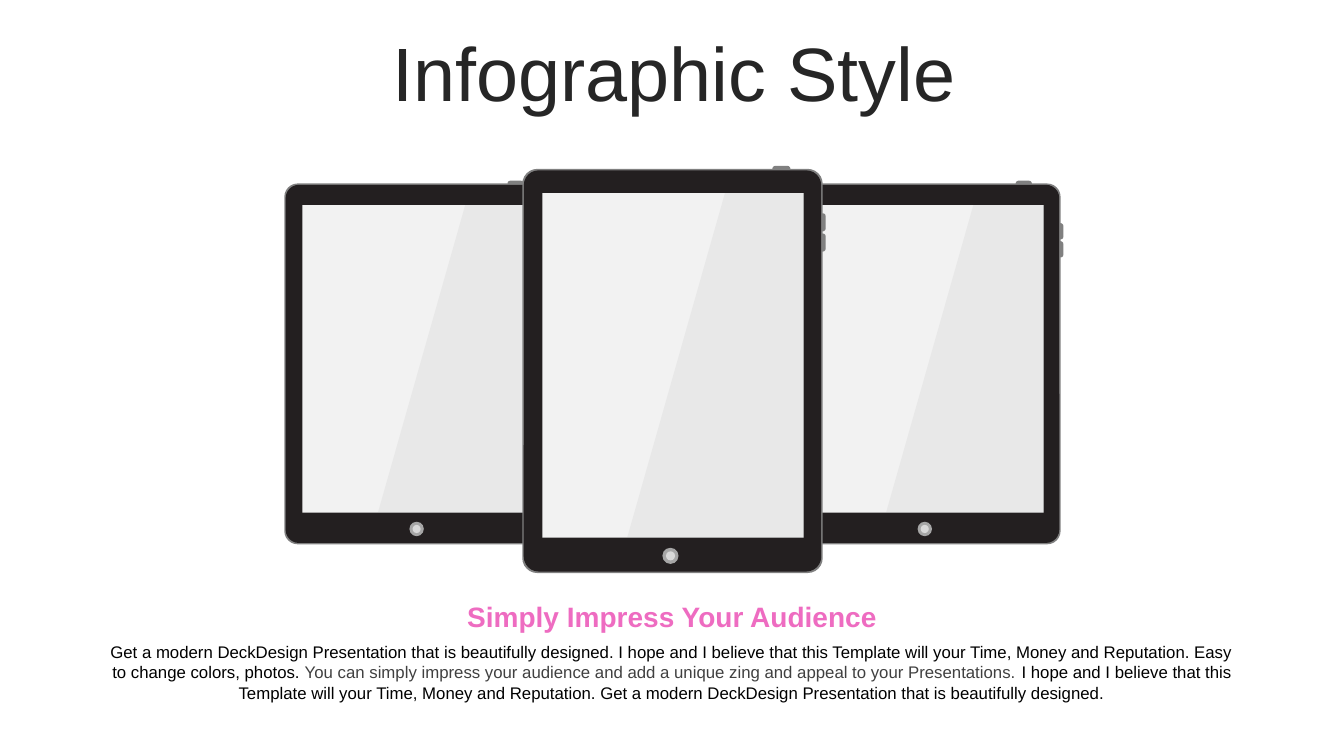
"""Build a slide with three tablet mock-ups above a centred caption."""
from lxml import etree
from pptx import Presentation
from pptx import util as u
from pptx.dml.color import RGBColor
from pptx.enum import shapes, text
from pptx.oxml import ns

CELL = u.Inches(0.01)
SLIDE_COLUMNS, SLIDE_ROWS = 1333, 750
TABLET_COLUMNS, TABLET_ROWS = 298, 400
FONT = "Arial"

EDGE = RGBColor(0x80, 0x80, 0x80)
BODY = RGBColor(0x23, 0x1F, 0x20)
SCREEN = RGBColor(0xF2, 0xF2, 0xF2)
GLARE = RGBColor(0x99, 0x99, 0x99)
HOME_RING = RGBColor(0xA6, 0xA6, 0xA6)
HOME_CENTRE = RGBColor(0xD9, 0xD9, 0xD9)
TITLE_COLOR = RGBColor(0x26, 0x26, 0x26)
PINK = RGBColor(0xEE, 0x6C, 0xC1)
BLACK = RGBColor(0, 0, 0)
GREY = RGBColor(0x40, 0x40, 0x40)

ROUNDED = shapes.MSO_SHAPE.ROUNDED_RECTANGLE
OVAL = shapes.MSO_SHAPE.OVAL
PLAIN = shapes.MSO_SHAPE.RECTANGLE

SIDE_BUTTONS = [
    (ROUNDED, (295, 64, 6, 18), EDGE, 0.5),
    (ROUNDED, (295, 44, 6, 18), EDGE, 0.5),
]
TABLET_PARTS = [
    (ROUNDED, (248, -3, 18, 6), EDGE, 0.5),
    (ROUNDED, (0, 0, 298, 400), EDGE, 0.05),
    (ROUNDED, (1.5, 1.5, 295, 397), BODY, 0.05),
    (PLAIN, (20, 24, 259, 341), SCREEN, None),
    (OVAL, (139, 375, 16, 16), HOME_RING, None),
    (OVAL, (142.5, 378.5, 9, 9), HOME_CENTRE, None),
]
GLARE_CORNERS = [(201, 24), (279, 24), (279, 365), (104, 365)]
TABLETS = [
    (786, 182, 266, 358, SIDE_BUTTONS + TABLET_PARTS),
    (282, 182, 266, 358, TABLET_PARTS),
    (518, 167.5, 298, 401, SIDE_BUTTONS + TABLET_PARTS),
]

HEADING = "Simply Impress Your Audience"
CAPTION = [
    ("Get a modern DeckDesign Presentation that is beautifully designed. "
     "I hope and I believe that this Template will your Time, Money and "
     "Reputation. Easy to change colors, photos. ", BLACK),
    ("You can simply impress your audience and add a unique zing and appeal "
     "to your Presentations. ", GREY),
    ("I hope and I believe that this Template will your Time, Money and "
     "Reputation. Get a modern DeckDesign Presentation that is beautifully "
     "designed.", BLACK),
]


def cells(*counts):
    """Turn counts of grid cells into lengths."""
    return [u.Emu(round(count * CELL)) for count in counts]


def paint(part, color):
    """Give a part a flat fill without line or shadow."""
    part.shadow.inherit = False
    part.fill.solid()
    part.fill.fore_color.rgb = color
    part.line.fill.background()


def add_glare(tablet, corners):
    """Lay a faint slanted reflection over the screen."""
    outline = tablet.shapes.build_freeform(*cells(*corners[0]))
    outline.add_line_segments([cells(*corner) for corner in corners[1:]])
    glare = outline.convert_to_shape()
    paint(glare, GLARE)
    tint = glare.fill._xPr.find(ns.qn("a:solidFill"))[0]
    etree.SubElement(tint, ns.qn("a:alpha"), val="10000")


def add_tablet(slide, left, top, width, height, parts):
    """Draw one tablet scaled to the given size in cells."""
    across, down = width / TABLET_COLUMNS, height / TABLET_ROWS
    tablet = slide.shapes.add_group_shape()
    for kind, (x, y, w, h), color, rounding in parts:
        frame = cells(left + x * across, top + y * down, w * across, h * down)
        part = tablet.shapes.add_shape(kind, *frame)
        paint(part, color)
        if rounding is not None:
            part.adjustments[0] = rounding
    add_glare(tablet, [(left + x * across, top + y * down)
                       for x, y in GLARE_CORNERS])


def style_run(run, size, color, bold=False):
    """Set the font of one run."""
    run.font.name = FONT
    run.font.size = u.Pt(size)
    run.font.bold = bold
    run.font.color.rgb = color


def add_title(slide, wording):
    """Place and format the slide title."""
    title = slide.shapes.title
    title.left, title.top, title.width, title.height = cells(35, 37, 1267, 79)
    frame = title.text_frame
    frame.text = wording
    frame.auto_size = text.MSO_AUTO_SIZE.NONE
    frame.vertical_anchor = text.MSO_ANCHOR.MIDDLE
    line = frame.paragraphs[0]
    line.alignment = text.PP_ALIGN.CENTER
    line.line_spacing = 0.9
    style_run(line.runs[0], 54, TITLE_COLOR)


def add_centred_text(slide, top, height, pieces, size, bold=False):
    """Add a centred text box made of coloured pieces."""
    box = slide.shapes.add_textbox(*cells(94, top, 1145, height))
    box.text_frame.word_wrap = True
    paragraph = box.text_frame.paragraphs[0]
    paragraph.alignment = text.PP_ALIGN.CENTER
    for wording, color in pieces:
        run = paragraph.add_run()
        run.text = wording
        style_run(run, size, color, bold)


def main():
    """Assemble and save the slide."""
    deck = Presentation()
    deck.slide_width, deck.slide_height = cells(SLIDE_COLUMNS, SLIDE_ROWS)
    slide = deck.slides.add_slide(deck.slide_layouts.get_by_name("Title Only"))
    for tablet in TABLETS:
        add_tablet(slide, *tablet)
    add_title(slide, "Infographic Style")
    add_centred_text(slide, 590, 44, [(HEADING, PINK)], 20, bold=True)
    add_centred_text(slide, 632, 71, CAPTION, 12)
    deck.save("out.pptx")


if __name__ == "__main__":
    main()
